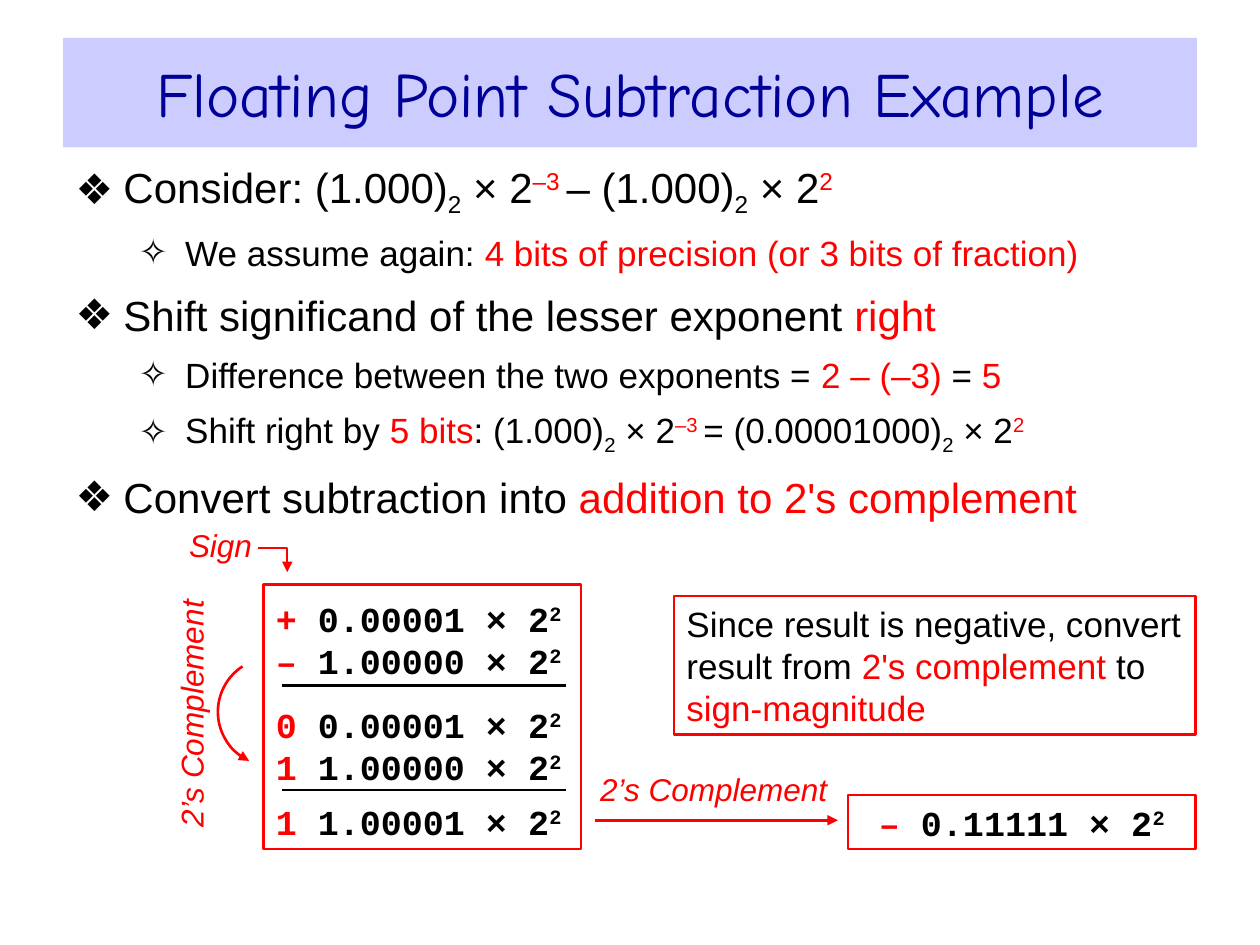
import pptx
import pptx.dml.color
import pptx.enum.shapes
import pptx.enum.text
import pptx.oxml
import pptx.oxml.ns
import pptx.util

PX = 9144  # 100 px to the inch
THEME = {
    "ink": "000000", "accent": "FF0000", "title": "000099", "band": "CCCCFF",
    "sans": "Arial", "mono": "Courier New", "display": "Comic Neue",
    "title_size": 36, "bullet_size": 24, "text_size": 20, "label_size": 18,
    "line": 1.5, "thin_line": 1,
}
SHAPES = pptx.enum.shapes.MSO_SHAPE
ALIGN = pptx.enum.text.PP_ALIGN
ANCHOR = pptx.enum.text.MSO_ANCHOR
qn = pptx.oxml.ns.qn


def rgb(name):
    return pptx.dml.color.RGBColor.from_string(THEME[name])


def write(paragraph, text, size="text_size", font="sans", color="ink",
          bold=False, italic=False, align=ALIGN.LEFT, before=0):
    """Runs are parted by |; a run may open with * (accent), then ^ or _ (raised, lowered)."""
    paragraph.alignment = align
    paragraph.space_before = pptx.util.Pt(before)
    for piece in text.split("|"):
        accent = piece.startswith("*")
        piece = piece[1:] if accent else piece
        baseline = {"^": "30000", "_": "-25000"}.get(piece[:1])
        run = paragraph.add_run()
        run.text = piece[1:] if baseline else piece
        run.font.name = THEME[font]
        run.font.size = pptx.util.Pt(THEME[size])
        run.font.bold = bold
        run.font.italic = italic
        run.font.color.rgb = rgb("accent" if accent else color)
        if baseline:
            run.font._element.set("baseline", baseline)


presentation = pptx.Presentation()
presentation.slide_width = 1000 * PX
presentation.slide_height = 750 * PX
slide = presentation.slides.add_slide(presentation.slide_layouts[1])
shapes = slide.shapes

# Title and body placeholders
title, body = slide.placeholders
for placeholder, top, height in ((title, 30, 87), (body, 123, 563)):
    placeholder.left, placeholder.top = 50 * PX, top * PX
    placeholder.width, placeholder.height = 900 * PX, height * PX
    placeholder.text_frame.auto_size = pptx.enum.text.MSO_AUTO_SIZE.NONE
title.fill.solid()
title.fill.fore_color.rgb = rgb("band")
title.text_frame.vertical_anchor = ANCHOR.MIDDLE
write(title.text_frame.paragraphs[0], "Floating Point Subtraction Example",
      size="title_size", font="display", color="title", align=ALIGN.CENTER)

# Bulleted list: level, text
bullets = [
    (0, "Consider: (1.000)|_2| × 2|*^–3 |– (1.000)|_2| × 2|*^2"),
    (1, "We assume again: |*4 bits of precision (or 3 bits of fraction)"),
    (0, "Shift significand of the lesser exponent |*right"),
    (1, "Difference between the two exponents = |*2 – (–3)| = |*5"),
    (1, "Shift right by |*5 bits|: (1.000)|_2| × 2|*^–3 |= (0.00001000)|_2| × 2|*^2"),
    (0, "Convert subtraction into |*addition to 2's complement"),
]
# For each level: mark, left margin, hanging indent, type size, space before
levels = [("❖", 38, 38, "bullet_size", 9), ("✧", 87, 37, "text_size", 7.5)]
for index, (level, text) in enumerate(bullets):
    mark, margin, hanging, size, before = levels[level]
    paragraph = body.text_frame.paragraphs[0] if index == 0 else body.text_frame.add_paragraph()
    paragraph.level = level
    properties = paragraph._p.get_or_add_pPr()
    properties.set("marL", str(margin * PX))
    properties.set("indent", str(-hanging * PX))
    bullet_color = pptx.oxml.parse_xml(
        f'<a:buClr {pptx.oxml.ns.nsdecls("a")}><a:srgbClr val="{THEME["ink"]}"/></a:buClr>')
    properties.append(bullet_color)
    properties.append(properties.makeelement(qn("a:buChar"), {"char": mark}))
    write(paragraph, text, size=size, before=before if index else 0)

# Frame around the calculation
frame = shapes.add_shape(SHAPES.RECTANGLE, 209 * PX, 464 * PX, 252 * PX, 210 * PX)

# Calculation, labels and notes: place, outlined, inset, anchor, rotation, lines, format
calculation = [
    (0, "*+| 0.00001 × 2|^2"),
    (0, "*–| 1.00000 × 2|^2"),
    (12.5, "*0| 0.00001 × 2|^2"),
    (0, "*1| 1.00000 × 2|^2"),
    (7.5, "*1| 1.00001 × 2|^2"),
]
note = [(0, "Since result is negative, convert result from|* 2's complement |to|* sign-magnitude")]
complement = [(0, "*2’s Complement")]
digits = {"font": "mono", "bold": True}
label = {"size": "label_size", "italic": True}
centred_label = {**label, "align": ALIGN.CENTER}
boxes = [
    ((209, 469, 248, 205), False, 10, ANCHOR.TOP, 0, calculation, digits),
    ((150, 415, 65, 35), False, 0, ANCHOR.MIDDLE, 0, [(0, "*Sign")], label),
    ((535, 473, 414, 110), True, 10, ANCHOR.TOP, 0, note, {}),
    ((52, 549, 199, 35), False, 0, ANCHOR.MIDDLE, 270, complement, centred_label),
    ((673, 631, 276, 43), True, 10, ANCHOR.MIDDLE, 0, [(0, "*–| 0.11111 × 2|^2")],
     {**digits, "align": ALIGN.CENTER}),
    ((468, 603, 197, 47), False, 0, ANCHOR.MIDDLE, 0, complement, centred_label),
]
outlined_shapes = [frame]
for place, outlined, inset, anchor, rotation, lines, style in boxes:
    place = [length * PX for length in place]
    if outlined:
        box = shapes.add_shape(SHAPES.RECTANGLE, *place)
        outlined_shapes.append(box)
    else:
        box = shapes.add_textbox(*place)
    box.rotation = rotation
    text_frame = box.text_frame
    text_frame.word_wrap = True
    text_frame.vertical_anchor = anchor
    text_frame.margin_left = text_frame.margin_right = inset * PX
    text_frame.margin_top = text_frame.margin_bottom = inset // 2 * PX
    for index, (before, text) in enumerate(lines):
        paragraph = text_frame.paragraphs[0] if index == 0 else text_frame.add_paragraph()
        write(paragraph, text, before=before, **style)

# Elbow from the sign label to the sign column
builder = shapes.build_freeform(205 * PX, 435 * PX)
builder.add_line_segments([(228 * PX, 435 * PX), (228 * PX, 454 * PX)], close=False)
sign_elbow = builder.convert_to_shape()

# Arc from the subtrahend to its complement; adjustments count 0.6 per degree
complement_arc = shapes.add_shape(SHAPES.ARC, 173 * PX, 522 * PX, 86 * PX, 86 * PX)
complement_arc.adjustments[0] = 115 * 0.6
complement_arc.adjustments[1] = 237 * 0.6

for shape in outlined_shapes + [sign_elbow, complement_arc]:
    shape.shadow.inherit = False
    shape.fill.background()
    shape.line.color.rgb = rgb("accent")
    shape.line.width = pptx.util.Pt(THEME["line"])
sign_elbow.line.width = pptx.util.Pt(THEME["thin_line"])

# Sum rules and the arrow to the result
straight_lines = []
for left, right, y, color in ((224, 449, 544, "ink"), (224, 449, 627, "ink"),
                              (472, 665, 651, "accent")):
    line = shapes.add_connector(pptx.enum.shapes.MSO_CONNECTOR.STRAIGHT,
                                left * PX, y * PX, right * PX, y * PX)
    line.line.color.rgb = rgb(color)
    line.line.width = pptx.util.Pt(THEME["line"])
    properties = line._element.spPr
    properties.append(properties.makeelement(qn("a:effectLst"), {}))
    straight_lines.append(line)

# Arrowheads
for shape, end in ((sign_elbow, "a:tailEnd"), (complement_arc, "a:headEnd"),
                   (straight_lines[-1], "a:tailEnd")):
    outline = shape._element.spPr.find(qn("a:ln"))
    outline.append(outline.makeelement(qn(end), {"type": "triangle"}))

presentation.save("out.pptx")
